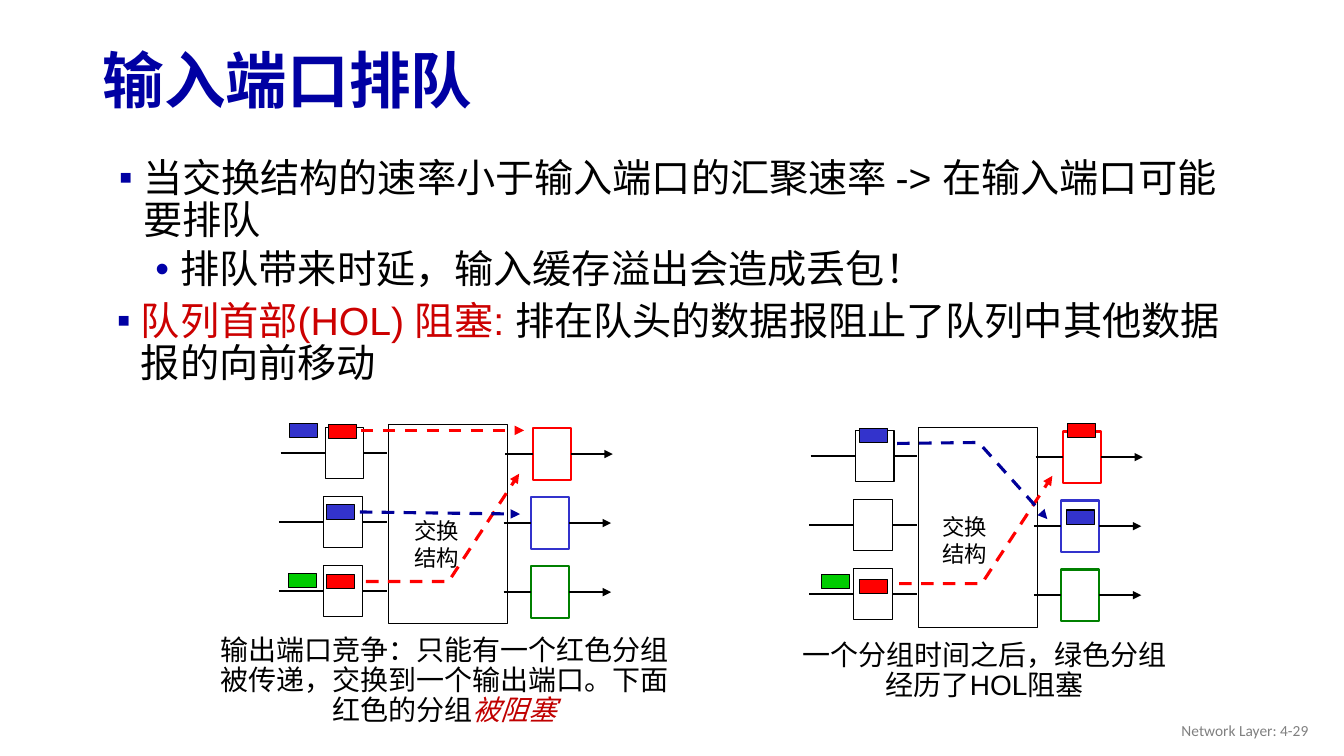
import pptx
import pptx.util
import pptx.dml.color
import pptx.enum.dml
import pptx.enum.shapes
import pptx.enum.text
import pptx.oxml.ns
from lxml import etree

Pt = pptx.util.Pt
qn = pptx.oxml.ns.qn
ALIGN = pptx.enum.text.PP_ALIGN
MID = pptx.enum.text.MSO_ANCHOR.MIDDLE
TOP = pptx.enum.text.MSO_ANCHOR.TOP
RECT = pptx.enum.shapes.MSO_SHAPE.RECTANGLE
DASH = pptx.enum.dml.MSO_LINE.DASH

BLACK, WHITE, RED, BLUE, GREEN = "000000", "FFFFFF", "FF0000", "3333CC", "00CC00"
NAVY, INK, CRIMSON = "000099", "0000A3", "CC0000"

# Geometry of one switch, relative to the top left of its fabric
FABRIC = (85, 142.6)
PORT = (27.4, 36.7)
PACKET = (20.2, 10.1)
PITCH = 49.3
EDGES = [RED, BLUE, "008000"]


def color(text):
    return pptx.dml.color.RGBColor.from_string(text)


def apply(item, vals):
    for name, val in vals.items():
        setattr(item, name, val)


def place(shape, left, top, width, height):
    apply(shape, {"left": Pt(left), "top": Pt(top),
                  "width": Pt(width), "height": Pt(height)})


# Text
def write(para, runs, size, font="Arial", **form):
    """Fill a paragraph with (text, colour, font values) runs."""
    apply(para, form)
    for text, hue, *more in runs:
        run = para.add_run()
        run.text = text
        apply(run.font, {"size": Pt(size), "name": font, **(more[0] if more else {})})
        run.font.color.rgb = color(hue)


def bullet(para, mark, hue, left, hang):
    props = para._p.get_or_add_pPr()
    props.set("marL", str(Pt(left)))
    props.set("indent", str(Pt(-hang)))
    tint = etree.SubElement(props, qn("a:buClr"))
    etree.SubElement(tint, qn("a:srgbClr"), val=hue)
    etree.SubElement(props, qn("a:buFont"), typeface="Arial")
    etree.SubElement(props, qn("a:buChar"), char=mark)


def frame(shape, box, anchor=TOP, wrap=True):
    place(shape, *box)
    apply(shape.text_frame, {"word_wrap": wrap, "vertical_anchor": anchor,
                             "auto_size": pptx.enum.text.MSO_AUTO_SIZE.NONE})
    return shape.text_frame


def items(holder, box, rows):
    """Write a bulleted list of (level, runs) rows."""
    body = frame(holder, box)
    for pos, (level, runs) in enumerate(rows):
        para = body.add_paragraph() if pos else body.paragraphs[0]
        if level:
            bullet(para, "•", "0000A8", 54.7, 18)
        else:
            bullet(para, "▪", INK, 28, 17.3)
        write(para, runs, 28, level=level, line_spacing=0.9,
              space_before=Pt(5 if pos else 0))


def label(slide, box, lines, size, font="Arial", anchor=TOP, wrap=True, **form):
    body = frame(slide.shapes.add_textbox(0, 0, 0, 0), box, anchor, wrap)
    for pos, runs in enumerate(lines):
        para = body.add_paragraph() if pos else body.paragraphs[0]
        write(para, runs, size, font, **form)


# Drawing
def block(slide, spot, size, fill, edge=BLACK, width=0.75):
    shape = slide.shapes.add_shape(RECT, 0, 0, 0, 0)
    place(shape, *spot, *size)
    shape.shadow.inherit = False
    shape.fill.solid()
    shape.fill.fore_color.rgb = color(fill)
    shape.line.color.rgb = color(edge)
    shape.line.width = Pt(width)
    return shape


def stroke(shape, hue, width, dash=None, arrow=False):
    shape.line.color.rgb = color(hue)
    apply(shape.line, {"width": Pt(width), "dash_style": dash})
    props = shape._element.spPr
    if arrow:
        etree.SubElement(props.find(qn("a:ln")), qn("a:tailEnd"), type="triangle")
    etree.SubElement(props, qn("a:effectLst"))


def wire(slide, start, end, hue=BLACK, width=1.5, dash=None, arrow=False):
    kind = pptx.enum.shapes.MSO_CONNECTOR.STRAIGHT
    line = slide.shapes.add_connector(kind, *map(Pt, start + end))
    stroke(line, hue, width, dash, arrow)
    return line


def route(slide, hue, points):
    """Draw a dashed arrow, straight or with bends."""
    if len(points) == 2:
        wire(slide, *points, hue, 2.25, DASH, True)
        return
    first, *rest = [tuple(map(Pt, point)) for point in points]
    pen = slide.shapes.build_freeform(*first)
    pen.add_line_segments(rest, close=False)
    shape = pen.convert_to_shape()
    shape.fill.background()
    stroke(shape, hue, 2.25, DASH, True)


def switch(slide, left, top, name, packets, routes):
    def at(x, y):
        return left + x, top + y

    block(slide, at(0, 0), FABRIC, WHITE)
    for row, edge in enumerate(EDGES):
        shift = 1.2 if row == 0 else 0
        drop = row * PITCH
        # Input port with its two wires
        port = block(slide, at(shift - 45.9, drop + 2.2), PORT, WHITE)
        mid = drop + 2.2 + PORT[1] / 2
        wire(slide, at(shift - 78, mid), at(shift - 45.9, mid)).end_connect(port, 1)
        wire(slide, at(shift - 18.5, mid), at(-0.7, mid)).begin_connect(port, 3)
        # Output port with its two wires
        port = block(slide, at(shift + 102, drop + 2.9), PORT, WHITE, edge, 1.5)
        mid = drop + 2.9 + PORT[1] / 2
        wire(slide, at(shift + 82.6, mid), at(shift + 102, mid)).end_connect(port, 1)
        wire(slide, at(shift + 129.4, mid), at(shift + 159.3, mid),
             arrow=True).begin_connect(port, 3)
    for hue, x, y in packets:
        block(slide, at(x, y), PACKET, hue)
    for hue, points in routes:
        route(slide, hue, [at(*point) for point in points])
    label(slide, (*at(*name), 46.8, 46), [[("交换", BLACK)], [("结构", BLACK)]],
          16, wrap=False)


def main():
    deck = pptx.Presentation()
    apply(deck, {"slide_width": Pt(960), "slide_height": Pt(540)})
    slide = deck.slides.add_slide(deck.slide_layouts[3])
    title, upper, lower = slide.placeholders

    # Title and lists
    head = frame(title, (66.2, 24.5, 828, 70.6), MID)
    write(head.paragraphs[0], [("输入端口排队", INK, {"bold": True})], 44,
          alignment=ALIGN.LEFT, line_spacing=0.9)
    items(upper, (67, 109.4, 828, 106.6), [
        (0, [("当交换结构的速率小于输入端口的汇聚速率 -> 在输入端口可能要排队", BLACK)]),
        (1, [("排队带来时延，输入缓存溢出会造成丢包！", BLACK)])])
    items(lower, (65.5, 211.7, 828, 77.8), [
        (0, [("队列首部(HOL) 阻塞: ", CRIMSON),
             ("排在队头的数据报阻止了队列中其他数据报的向前移动", BLACK)])])

    # Contention for an output port
    switch(slide, 277.2, 303.1, (11.5, 62.6),
           [(RED, -42.5, 0), (BLUE, -43.9, 57.6), (RED, -43.9, 107.3),
            (BLUE, -70.6, -0.7), (GREEN, -71.3, 106.6)],
           [(RED, [(-19.4, 4.3), (97.2, 4.3)]),
            (RED, [(-15.8, 112.3), (43.2, 112.3), (93.6, 35.3)]),
            (NAVY, [(-20.2, 62.6), (94.3, 64.1)])])
    label(slide, (141.8, 450.7, 351.4, 72.7),
          [[("输出端口竞争：只能有一个红色分组被传递，交换到一个输出端口。下面红色的分组", BLACK),
            ("被阻塞", "C00000", {"italic": True})]],
          20, alignment=ALIGN.CENTER, line_spacing=0.9)

    # One packet time later
    switch(slide, 655.9, 305.3, (10.1, 57.6),
           [(RED, 106.6, -2.9), (BLUE, -41.8, 0.7), (RED, -41.8, 108.7),
            (GREEN, -69.1, 105.1), (BLUE, 105.8, 59)],
           [(RED, [(-13.7, 111.6), (45.4, 111.6), (95.8, 34.6)]),
            (NAVY, [(-15.1, 11.5), (43.2, 10.8), (92.2, 65.5)])])
    label(slide, (562.3, 454.3, 282.2, 51.1),
          [[("一个分组时间之后，绿色分组经历了HOL阻塞", BLACK)]],
          20, alignment=ALIGN.CENTER, line_spacing=0.9)

    # Footer
    label(slide, (725.8, 507.6, 216, 28.8), [[("Network Layer: 4-29", "808080")]],
          11, "Calibri", MID, alignment=ALIGN.RIGHT)
    deck.save("out.pptx")


if __name__ == "__main__":
    main()
